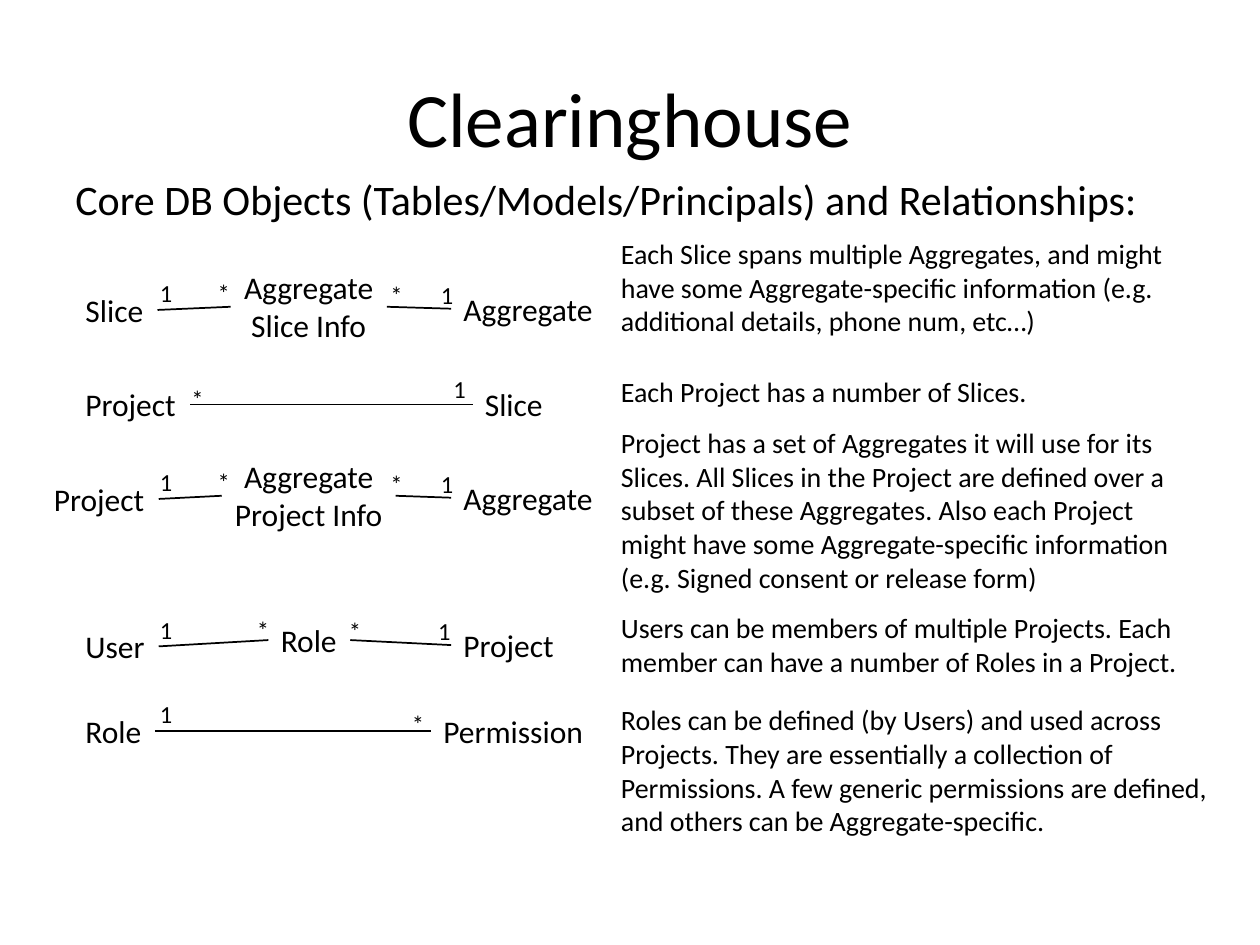
from dataclasses import dataclass
from itertools import pairwise

from pptx import Presentation
from pptx.dml.color import RGBColor
from pptx.enum.shapes import MSO_CONNECTOR
from pptx.enum.text import MSO_ANCHOR, MSO_AUTO_SIZE, PP_ALIGN
from pptx.oxml.ns import qn
from pptx.util import Inches, Pt

LINE = MSO_CONNECTOR.STRAIGHT
MIDDLE = MSO_ANCHOR.MIDDLE
FIT = MSO_AUTO_SIZE.SHAPE_TO_FIT_TEXT
LEFT, CENTER = PP_ALIGN.LEFT, PP_ALIGN.CENTER
RIGHT_SITE, LEFT_SITE = 3, 1


@dataclass(frozen=True)
class Theme:
    font: str = "Calibri"
    ink: RGBColor = RGBColor(0, 0, 0)
    title: int = 44
    lead: int = 24
    node: int = 18
    note: int = 16
    mark: int = 14
    line: int = 1


@dataclass(frozen=True)
class Node:
    text: str
    x: float
    y: float
    w: float


@dataclass(frozen=True)
class Mark:
    text: str
    x: float
    y: float


@dataclass(frozen=True)
class Note:
    text: str
    y: float
    h: float
    w: float = 4.67


@dataclass(frozen=True)
class Row:
    nodes: list[Node]
    marks: list[Mark]
    note: Note


THEME = Theme()
NOTE_X = 4.83
MARK_W, MARK_H = 0.33, 0.34

ROWS = [
    Row([Node("Slice", 0.58, 2.26, 0.67),
         Node("Aggregate\nSlice Info", 1.83, 2.08, 1.24),
         Node("Aggregate", 3.58, 2.25, 1.24)],
        [Mark("1", 1.17, 2.16), Mark("*", 1.63, 2.16),
         Mark("*", 3, 2.17), Mark("1", 3.4, 2.17)],
        Note("Each Slice spans multiple Aggregates, and might have some "
             "Aggregate-specific information (e.g. additional details, "
             "phone num, etc…)", 1.83, 0.91)),
    Row([Node("Project", 0.58, 3.01, 0.93), Node("Slice", 3.75, 3.01, 0.67)],
        [Mark("*", 1.42, 3), Mark("1", 3.5, 2.92)],
        Note("Each Project has a number of Slices.", 2.92, 0.37)),
    Row([Node("Project", 0.33, 3.76, 0.93),
         Node("Aggregate\nProject Info", 1.76, 3.58, 1.38),
         Node("Aggregate", 3.58, 3.75, 1.24)],
        [Mark("1", 1.17, 3.66), Mark("*", 1.63, 3.66),
         Mark("*", 3, 3.67), Mark("1", 3.4, 3.67)],
        Note("Project has a set of Aggregates it will use for its Slices. "
             "All Slices in the Project are defined over a subset of these "
             "Aggregates. Also each Project might have some "
             "Aggregate-specific information (e.g. Signed consent or "
             "release form)", 3.33, 1.45)),
    Row([Node("User", 0.58, 4.93, 0.68), Node("Role", 2.13, 4.88, 0.65),
         Node("Project", 3.58, 4.92, 0.93)],
        [Mark("1", 1.17, 4.83), Mark("*", 1.94, 4.83),
         Mark("*", 2.67, 4.84), Mark("1", 3.38, 4.84)],
        Note("Users can be members of multiple Projects. Each member can "
             "have a number of Roles in a Project.", 4.8, 0.64)),
    Row([Node("Role", 0.58, 5.6, 0.65), Node("Permission", 3.42, 5.6, 1.32)],
        [Mark("1", 1.17, 5.5), Mark("*", 3.17, 5.58)],
        Note("Roles can be defined (by Users) and used across Projects. "
             "They are essentially a collection of Permissions. A few "
             "generic permissions are defined, and others can be "
             "Aggregate-specific.", 5.53, 1.18, 5.08)),
]


def style(frame, size: int, align=LEFT) -> None:
    for para in frame.paragraphs:
        para.alignment = align
        for run in para.runs:
            run.font.name = THEME.font
            run.font.size = Pt(size)
            run.font.color.rgb = THEME.ink


def label(slide, text: str, x: float, y: float, w: float, h: float,
          size: int, wrap: bool = True, align=LEFT):
    box = slide.shapes.add_textbox(Inches(x), Inches(y), Inches(w), Inches(h))
    frame = box.text_frame
    frame.text = text
    frame.word_wrap = wrap
    frame.auto_size = FIT
    style(frame, size, align)
    return box


def entity(slide, node: Node):
    double = "\n" in node.text
    return label(slide, node.text, node.x, node.y, node.w,
                 0.71 if double else 0.4, THEME.node, False,
                 CENTER if double else LEFT)


def link(slide, start, end) -> None:
    line = slide.shapes.add_connector(LINE, 0, 0, 0, 0)
    line.begin_connect(start, RIGHT_SITE)
    line.end_connect(end, LEFT_SITE)
    line.line.color.rgb = THEME.ink
    line.line.width = Pt(THEME.line)
    props = line._element.spPr
    props.append(props.makeelement(qn("a:effectLst"), {}))


def draw(slide, row: Row) -> None:
    boxes = [entity(slide, node) for node in row.nodes]
    for start, end in pairwise(boxes):
        link(slide, start, end)
    for mark in row.marks:
        label(slide, mark.text, mark.x, mark.y, MARK_W, MARK_H, THEME.mark)
    note = row.note
    label(slide, note.text, NOTE_X, note.y, note.w, note.h, THEME.note)


def main() -> None:
    deck = Presentation()
    deck.slide_width, deck.slide_height = Inches(10), Inches(7.5)
    slide = deck.slides.add_slide(deck.slide_layouts.get_by_name("Title Only"))

    # Heading
    title = slide.shapes.title
    title.left, title.top = Inches(0.5), Inches(0.3)
    title.width, title.height = Inches(9), Inches(1.25)
    title.text_frame.text = "Clearinghouse"
    title.text_frame.vertical_anchor = MIDDLE
    style(title.text_frame, THEME.title, CENTER)
    lead = label(slide, "Core DB Objects (Tables/Models/Principals) "
                 "and Relationships:", 0.5, 1.33, 9, 0.92, THEME.lead)
    lead.text_frame.auto_size = MSO_AUTO_SIZE.NONE
    lead.text_frame.paragraphs[0].space_before = Pt(4.8)

    # Relationships with their notes
    for row in ROWS:
        draw(slide, row)

    deck.save("out.pptx")


main()
